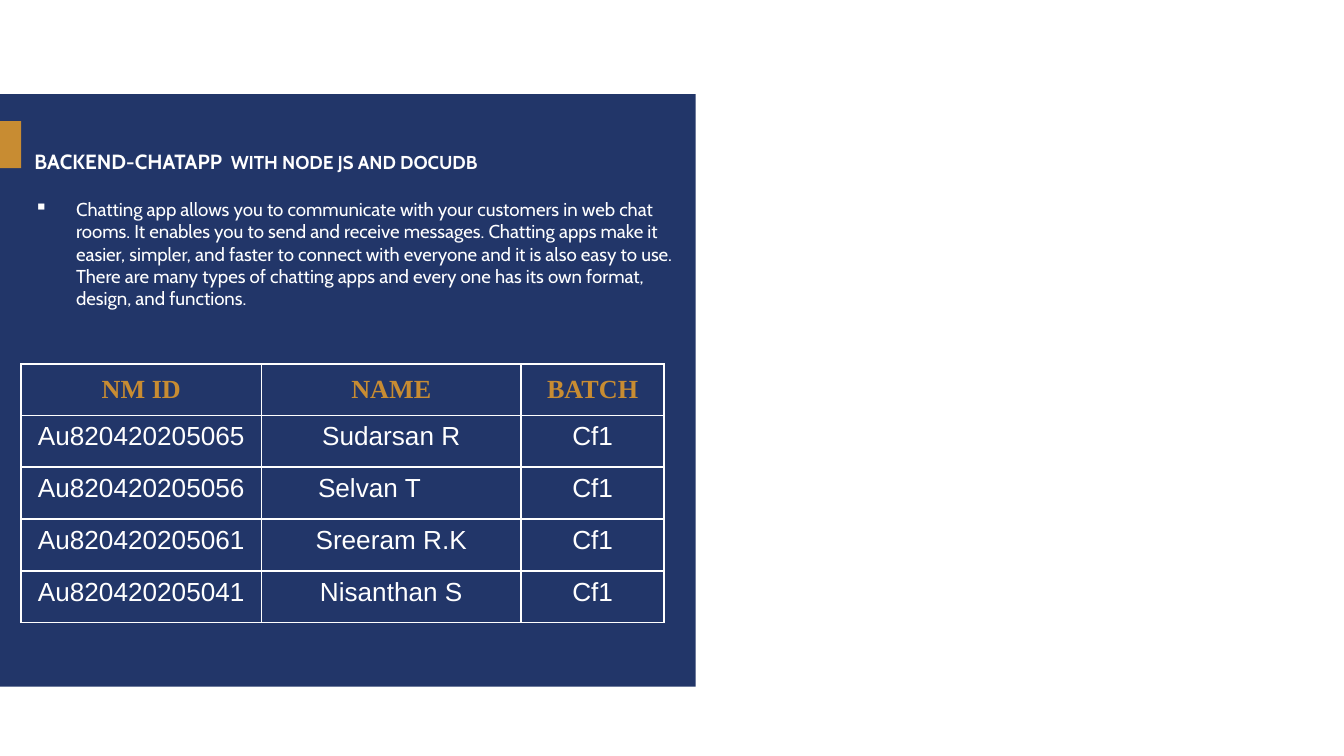
from lxml import etree
from pptx import Presentation
from pptx.dml.color import RGBColor
from pptx.enum.shapes import MSO_SHAPE
from pptx.enum.text import MSO_ANCHOR, PP_ALIGN
from pptx.oxml.ns import qn
from pptx.util import Cm, Pt

RECT = MSO_SHAPE.RECTANGLE
TOP, MIDDLE = MSO_ANCHOR.TOP, MSO_ANCHOR.MIDDLE
LEFT, CENTER = PP_ALIGN.LEFT, PP_ALIGN.CENTER

COLORS = {"navy": "223669", "gold": "C88C32", "white": "FFFFFF"}

HEADING = {"name": "Cabin", "size": Pt(11), "bold": True}
BODY = {"name": "Cabin", "size": Pt(10), "bold": False}
TABLE_HEAD = {"name": "Times New Roman", "size": Pt(14), "bold": True}
TABLE_BODY = {"name": "Arial", "size": Pt(14), "bold": False}


class SlideBuilder:
    def __init__(self, slide, colors):
        self.slide = slide
        self.colors = colors

    def rgb(self, color):
        return RGBColor.from_string(self.colors[color])

    def block(self, left, top, width, height, color):
        shape = self.slide.shapes.add_shape(
            RECT, Cm(left), Cm(top), Cm(width), Cm(height))
        shape.shadow.inherit = False
        shape.fill.solid()
        shape.fill.fore_color.rgb = self.rgb(color)
        shape.line.fill.background()

    def run(self, paragraph, text, style, color="white"):
        run = paragraph.add_run()
        run.text = text
        for attribute, value in style.items():
            setattr(run.font, attribute, value)
        run.font.color.rgb = self.rgb(color)

    def text(self, left, top, width, height, runs, anchor=TOP):
        box = self.slide.shapes.add_textbox(
            Cm(left), Cm(top), Cm(width), Cm(height))
        frame = box.text_frame
        frame.word_wrap = True
        frame.vertical_anchor = anchor
        paragraph = frame.paragraphs[0]
        for words, style in runs:
            self.run(paragraph, words, style)
        return paragraph

    def bullet(self, paragraph, mark, indent, color="white"):
        properties = paragraph._p.get_or_add_pPr()
        properties.set("marL", str(Cm(indent)))
        properties.set("indent", str(-Cm(indent)))
        bullet_color = etree.SubElement(properties, qn("a:buClr"))
        etree.SubElement(bullet_color, qn("a:srgbClr"), val=self.colors[color])
        etree.SubElement(properties, qn("a:buChar"), char=mark)

    def borders(self, cell, color="white", width=1):
        properties = cell._tc.get_or_add_tcPr()
        for side in ("lnL", "lnR", "lnT", "lnB"):
            line = etree.SubElement(properties, qn(f"a:{side}"), w=str(Pt(width)))
            fill = etree.SubElement(line, qn("a:solidFill"))
            etree.SubElement(fill, qn("a:srgbClr"), val=self.colors[color])

    def table(self, left, top, widths, heights, rows):
        table = self.slide.shapes.add_table(
            len(rows), len(widths), Cm(left), Cm(top),
            Cm(sum(widths)), Cm(sum(heights))).table
        table.first_row = table.horz_banding = False
        for column, width in zip(table.columns, widths):
            column.width = Cm(width)
        for row, height in zip(table.rows, heights):
            row.height = Cm(height)
        for r, values in enumerate(rows):
            header = r == 0
            for c, value in enumerate(values):
                cell = table.cell(r, c)
                self.borders(cell)
                cell.fill.background()
                cell.vertical_anchor = MIDDLE if header else TOP
                paragraph = cell.text_frame.paragraphs[0]
                paragraph.alignment = CENTER
                self.run(paragraph, value, TABLE_HEAD if header else TABLE_BODY,
                         "gold" if header else "white")
        return table


def main():
    presentation = Presentation()
    presentation.slide_width, presentation.slide_height = Cm(25.4), Cm(14.29)
    slide = presentation.slides.add_slide(presentation.slide_layouts[6])
    builder = SlideBuilder(slide, COLORS)

    # Panel and accent tab
    builder.block(0, 1.78, 13.15, 11.2, "navy")
    builder.block(0, 2.29, 0.4, 0.89, "gold")

    # Title
    builder.text(0.4, 2.26, 12.7, 1.32, [
        ("BACKEND-CHATAPP", HEADING),
        (" ", {**HEADING, "size": Pt(20)}),
        ("WITH NODE JS AND DOCUDB", {**HEADING, "size": Pt(10)}),
    ], MIDDLE)

    # Description
    description = builder.text(0.4, 3.61, 12.62, 8.43, [(
        "Chatting app\u00a0allows you to communicate with your customers in web "
        "chat rooms. It enables you to send and receive messages. Chatting apps "
        "make it easier, simpler, and faster to connect with everyone and it is "
        "also easy to use. There are many types of chatting apps and every one "
        "has its own format, design, and functions.", BODY)])
    builder.bullet(description, "▪", 0.79)

    # Team table
    members = [
        ("Au820420205065", "Sudarsan R"),
        ("Au820420205056", "Selvan T"),
        ("Au820420205061", "Sreeram R.K"),
        ("Au820420205041", "Nisanthan S"),
    ]
    rows = [("NM ID", "NAME", "BATCH")] + [(*member, "Cf1") for member in members]
    team = builder.table(0.4, 6.88, [4.54, 4.91, 2.7], [0.97] + [0.98] * 4, rows)

    # The second member's name is set from the left
    selvan = team.cell(2, 1)
    selvan.margin_left = Cm(1.07)
    selvan.text_frame.paragraphs[0].alignment = LEFT

    presentation.save("out.pptx")


if __name__ == "__main__":
    main()
